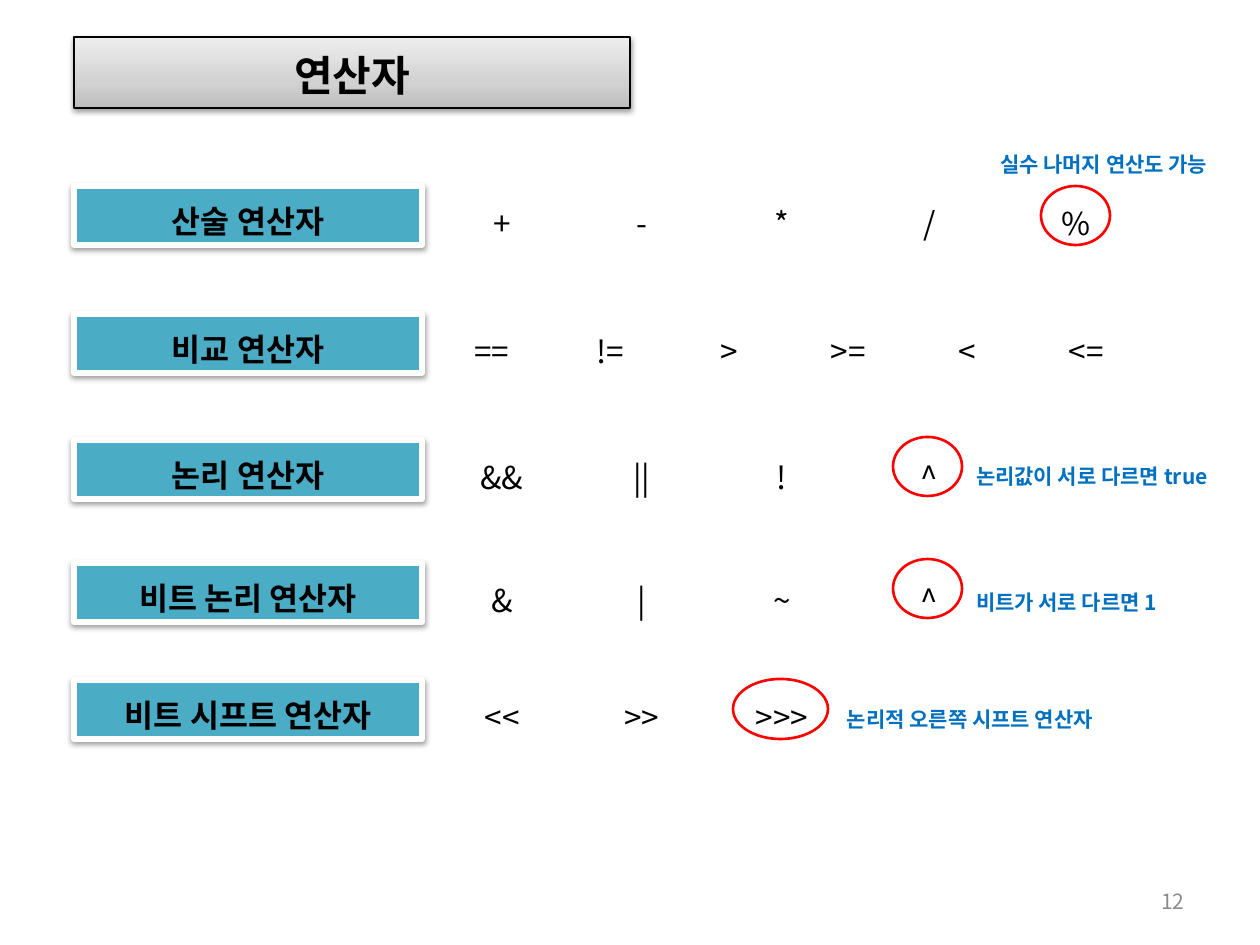
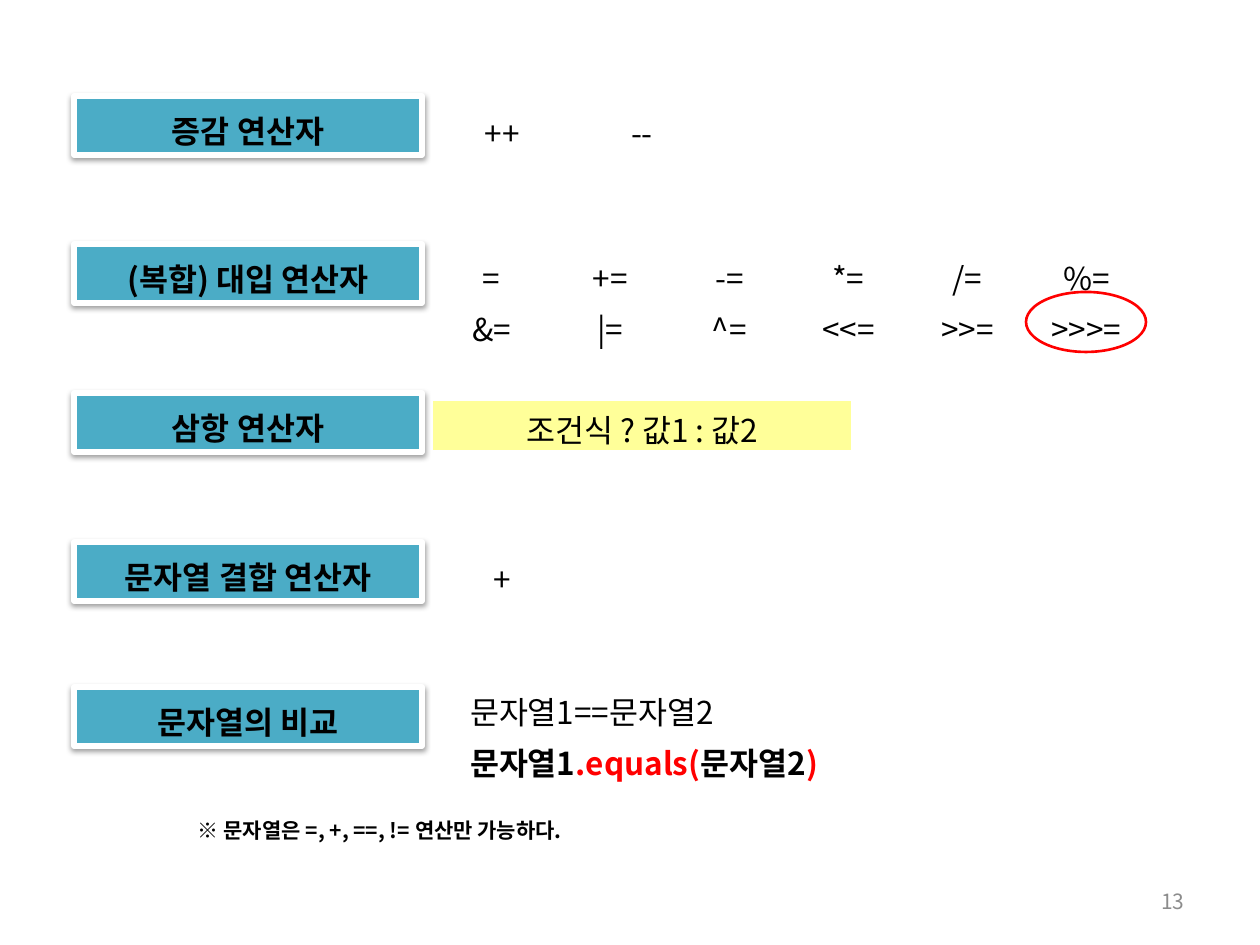
"""Build two slides that list Java operators by category."""
from dataclasses import dataclass

from lxml import etree
from pptx import Presentation
from pptx import util as u
from pptx.dml.color import RGBColor
from pptx.enum import shapes, text
from pptx.oxml import ns

EMU_PER_PX = 914400 / 126


@dataclass(frozen=True)
class Theme:
    font: str = "Noto Sans CJK KR"
    ink: str = "000000"
    label: str = "4BACC6"
    frame: str = "FFFFFF"
    accent: str = "FF0000"
    note: str = "0070C0"
    page: str = "8C8C8C"
    formula: str = "FFFF99"
    title_stops: tuple = ((0, "BDBDBD"), (35, "D1D1D1"), (100, "EEEEEE"))
    title_size: int = 24
    body_size: int = 18
    note_size: int = 12


THEME = Theme()
LABEL_X, LABEL_W, LABEL_H = 74, 348, 59
GRID_X, GRID_DROP, ROW_H = 432, 7, 51
FOUR_COLS = [140, 140, 140, 155]
THREE_COLS = [140] * 3
FIVE_COLS = FOUR_COLS + [139]
SIX_COLS = [119] * 6


def px(length):
    return u.Emu(round(length * EMU_PER_PX))


def rgb(color):
    return RGBColor.from_string(color)


def add_run(paragraph, words, size, color=THEME.ink, bold=False):
    run = paragraph.add_run()
    run.text = words
    run.font.size = u.Pt(size)
    run.font.bold = bold
    run.font.color.rgb = rgb(color)
    run.font.name = THEME.font
    east_asian = etree.SubElement(run.font._element, ns.qn("a:ea"))
    east_asian.set("typeface", THEME.font)


def add_panel(slide, kind, box, fill=None, line=None, line_width=1):
    panel = slide.shapes.add_shape(kind, *map(px, box))
    panel.shadow.inherit = False
    if fill:
        panel.fill.solid()
        panel.fill.fore_color.rgb = rgb(fill)
    else:
        panel.fill.background()
    if line:
        panel.line.color.rgb = rgb(line)
        panel.line.width = u.Pt(line_width)
    else:
        panel.line.fill.background()
    return panel


def add_process(slide, box, words, size, color=THEME.ink, align=text.PP_ALIGN.CENTER,
                spacing=None, **look):
    process = add_panel(slide, shapes.MSO_SHAPE.FLOWCHART_PROCESS, box, **look)
    frame = process.text_frame
    frame.word_wrap = True
    frame.vertical_anchor = text.MSO_ANCHOR.MIDDLE
    frame.margin_left = frame.margin_right = px(13)
    frame.margin_top, frame.margin_bottom = px(10), px(6)
    paragraph = frame.paragraphs[0]
    paragraph.alignment = align
    if spacing:
        paragraph.line_spacing = u.Pt(spacing)
    add_run(paragraph, words, size, color, bold=True)
    return process


def drop_shadow(panel):
    effects = panel._element.spPr.find(ns.qn("a:effectLst"))
    shadow = etree.SubElement(effects, ns.qn("a:outerShdw"), blurRad=str(u.Pt(3.1)),
                              dist=str(u.Pt(1.6)), dir="5400000", rotWithShape="0")
    tint = etree.SubElement(shadow, ns.qn("a:srgbClr"), val=THEME.ink)
    etree.SubElement(tint, ns.qn("a:alpha"), val="38000")


def add_title(slide, words):
    title = add_process(slide, (74, 37, 556, 71), words, THEME.title_size,
                        line=THEME.ink, line_width=0.75)
    title.fill.gradient()
    title.fill.gradient_angle = 90
    stops = title._element.spPr.find(".//" + ns.qn("a:gsLst"))
    stops.clear()
    for position, color in THEME.title_stops:
        stop = etree.SubElement(stops, ns.qn("a:gs"), pos=str(position * 1000))
        etree.SubElement(stop, ns.qn("a:srgbClr"), val=color)
    drop_shadow(title)


def add_label(slide, top, words):
    label = add_process(slide, (LABEL_X, top, LABEL_W, LABEL_H), words, THEME.body_size,
                        spacing=25, fill=THEME.label, line=THEME.frame, line_width=3)
    drop_shadow(label)


def add_note(slide, box, words, color=THEME.note):
    add_process(slide, box, words, THEME.note_size, color,
                align=text.PP_ALIGN.LEFT, spacing=22)


def add_ring(slide, box):
    add_panel(slide, shapes.MSO_SHAPE.OVAL, box, line=THEME.accent, line_width=1.5)


def add_grid(slide, top, widths, rows, fill=None):
    """Add a plain table and return it; rows hold one string per filled cell."""
    frame = slide.shapes.add_table(len(rows), len(widths), px(GRID_X), px(top),
                                   px(sum(widths)), px(ROW_H * len(rows)))
    grid = frame.table
    grid.first_row = grid.horz_banding = False
    for column, width in zip(grid.columns, widths):
        column.width = px(width)
    for cell in grid.iter_cells():
        if fill:
            cell.fill.solid()
            cell.fill.fore_color.rgb = rgb(fill)
        else:
            cell.fill.background()
    for r, operators in enumerate(rows):
        for c, operator in enumerate(operators):
            paragraph = grid.cell(r, c).text_frame.paragraphs[0]
            paragraph.alignment = text.PP_ALIGN.CENTER
            add_run(paragraph, operator, THEME.body_size)
    return grid


def add_category(slide, top, name, widths, rows, drop=GRID_DROP, fill=None):
    add_grid(slide, top + drop, widths, rows, fill)
    add_label(slide, top, name)


def add_string_comparison(slide, top):
    grid = add_grid(slide, top - 5, [436, 278], [[], []])
    lines = [
        [("문자열1==문자열2", THEME.ink, False)],
        [("문자열1", THEME.ink, True), (".equals(", THEME.accent, True),
         ("문자열2", THEME.ink, True), (")", THEME.accent, True)],
    ]
    for r, pieces in enumerate(lines):
        cell = grid.cell(r, 0)
        cell.margin_left = px(38)
        for words, color, bold in pieces:
            add_run(cell.text_frame.paragraphs[0], words, THEME.body_size, color, bold)
    add_label(slide, top, "문자열의 비교")


def add_page_number(slide, number):
    footer = slide.shapes.add_textbox(*map(px, (903, 876, 294, 50)))
    footer.text_frame.word_wrap = True
    footer.text_frame.vertical_anchor = text.MSO_ANCHOR.MIDDLE
    paragraph = footer.text_frame.paragraphs[0]
    paragraph.alignment = text.PP_ALIGN.RIGHT
    add_run(paragraph, str(number), THEME.note_size, THEME.page)


def build_basic_operators(slide):
    add_title(slide, "연산자")
    categories = [
        (186, "산술 연산자", FIVE_COLS, ["+", "-", "*", "/", "%"]),
        (314, "비교 연산자", SIX_COLS, ["==", "!=", ">", ">=", "<", "<="]),
        (440, "논리 연산자", FOUR_COLS, ["&&", "||", "!", "^"]),
        (563, "비트 논리 연산자", FOUR_COLS, ["&", "|", "~", "^"]),
        (680, "비트 시프트 연산자", THREE_COLS, ["<<", ">>", ">>>"]),
    ]
    for top, name, widths, operators in categories:
        add_category(slide, top, name, widths, [operators])
    remarks = [
        ((1041, 186, 69, 59), (987, 132, 273, 47), "실수 나머지 연산도 가능"),
        ((893, 437, 69, 59), (963, 440, 297, 54), "논리값이 서로 다르면 true"),
        ((893, 559, 69, 59), (963, 568, 297, 50), "비트가 서로 다르면 1"),
        ((733, 679, 95, 60), (834, 685, 420, 50), "논리적 오른쪽 시프트 연산자"),
    ]
    for ring, note, words in remarks:
        add_ring(slide, ring)
        add_note(slide, note, words)
    add_page_number(slide, 12)


def build_other_operators(slide):
    add_category(slide, 96, "증감 연산자", THREE_COLS, [["++", "--"]])
    add_category(slide, 244, "(복합) 대입 연산자", SIX_COLS,
                 [["=", "+=", "-=", "*=", "/=", "%="],
                  ["&=", "|=", "^=", "<<=", ">>=", ">>>="]], drop=4)
    add_ring(slide, (1026, 292, 120, 60))
    add_category(slide, 393, "삼항 연산자", [420], [["조건식 ? 값1 : 값2"]],
                 fill=THEME.formula)
    add_category(slide, 542, "문자열 결합 연산자", THREE_COLS, [["+"]])
    add_string_comparison(slide, 687)
    add_note(slide, (185, 794, 456, 55), "※ 문자열은 =, +, ==, != 연산만 가능하다.",
             THEME.ink)
    add_page_number(slide, 13)


def main():
    deck = Presentation()
    deck.slide_width, deck.slide_height = px(1260), px(945)
    for build in (build_basic_operators, build_other_operators):
        build(deck.slides.add_slide(deck.slide_layouts[6]))
    deck.save("out.pptx")


if __name__ == "__main__":
    main()
